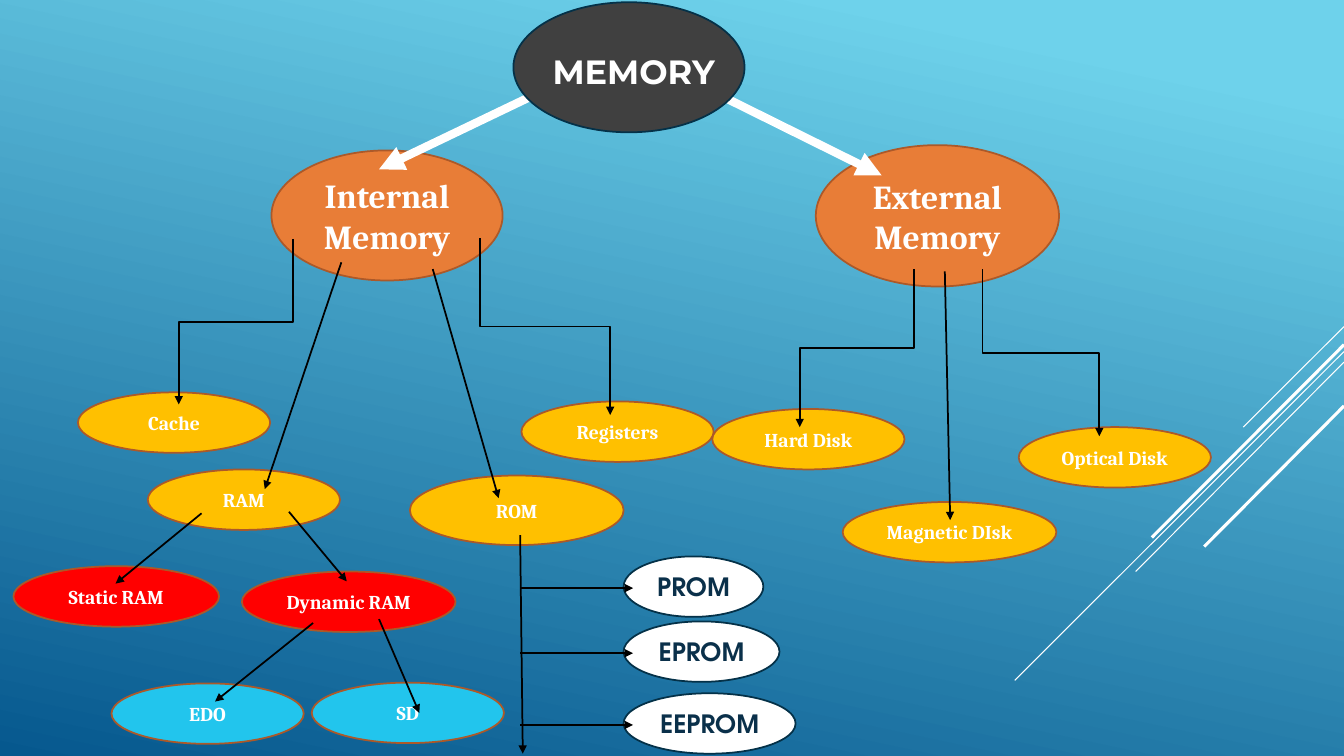
import pptx
import pptx.util
import pptx.dml.color
import pptx.enum.shapes
import pptx.enum.text
import pptx.oxml
import pptx.oxml.ns

RGBColor = pptx.dml.color.RGBColor
SKY = RGBColor(0x6E, 0xD2, 0xEB)
DEEP = RGBColor(0x06, 0x58, 0x8E)
WHITE = RGBColor(0xFF, 0xFF, 0xFF)
BLACK = RGBColor(0x00, 0x00, 0x00)
GREY = RGBColor(0x40, 0x40, 0x40)
ORANGE = RGBColor(0xE8, 0x7D, 0x37)
RUST = RGBColor(0xAC, 0x59, 0x29)
GOLD = RGBColor(0xFF, 0xC0, 0x00)
RED = RGBColor(0xFF, 0x00, 0x00)
CYAN = RGBColor(0x22, 0xC5, 0xED)
NAVY = RGBColor(0x04, 0x31, 0x48)
INK = RGBColor(0x0A, 0x30, 0x4A)

SERIF = "Cambria"
HEAD = "Montserrat"
SANS = "TeX Gyre Adventor"


def write(frame, text, font=SERIF, size=14, color=WHITE,
          align=pptx.enum.text.PP_ALIGN.CENTER):
    """Fill a text frame, one paragraph per line of text."""
    frame.word_wrap = True
    frame.auto_size = pptx.enum.text.MSO_AUTO_SIZE.NONE
    frame.vertical_anchor = pptx.enum.text.MSO_ANCHOR.MIDDLE
    frame.margin_left = frame.margin_right = 0
    frame.margin_top = frame.margin_bottom = 0
    frame.text = text
    for para in frame.paragraphs:
        para.alignment = align
        for run in para.runs:
            run.font.name = font
            run.font.size = pptx.util.Pt(size)
            run.font.bold = True
            run.font.color.rgb = color


class Chart:
    """Draws on one slide; lengths are percent of its width and height."""

    def __init__(self, deck):
        self.deck = deck
        self.slide = deck.slides.add_slide(deck.slide_layouts[5])
        self.shapes = self.slide.shapes

    def place(self, x, y):
        return (round(self.deck.slide_width * x / 100),
                round(self.deck.slide_height * y / 100))

    def back(self, start, end, angle):
        fill = self.slide.background.fill
        fill.gradient()
        fill.gradient_angle = angle
        for stop, color, spot in zip(fill.gradient_stops, (start, end), (0.1, 1)):
            stop.color.rgb = color
            stop.position = spot

    def node(self, text, x, y, w=14.3, h=8, fill=GOLD, edge=RUST, **style):
        oval = self.shapes.add_shape(pptx.enum.shapes.MSO_SHAPE.OVAL,
                                     *self.place(x, y), *self.place(w, h))
        oval.shadow.inherit = False
        oval.fill.solid()
        oval.fill.fore_color.rgb = fill
        oval.line.color.rgb = edge
        oval.line.width = pptx.util.Pt(1.25)
        if text:
            write(oval.text_frame, text, **style)
        return oval

    def title(self, text, x, y, w, h, above, **style):
        title = self.shapes.title
        title.left, title.top = self.place(x, y)
        title.width, title.height = self.place(w, h)
        write(title.text_frame, text, **style)
        above.element.addnext(title.element)

    def link(self, start, end, color=BLACK, width=1.25, arrow=True, bent=False):
        types = pptx.enum.shapes.MSO_CONNECTOR
        kind = types.ELBOW if bent else types.STRAIGHT
        wire = self.shapes.add_connector(kind, *self.place(*start), *self.place(*end))
        if bent:
            self.turn(wire, right=end[0] > start[0])
        wire.line.color.rgb = color
        wire.line.width = pptx.util.Pt(width)
        if arrow:
            tip = pptx.oxml.parse_xml(
                "<a:tailEnd %s type='triangle'/>" % pptx.oxml.ns.nsdecls("a"))
            wire.line._get_or_add_ln().append(tip)
        wire.element.spPr.append(pptx.oxml.parse_xml(
            "<a:effectLst %s/>" % pptx.oxml.ns.nsdecls("a")))

    def turn(self, wire, right):
        """Rotate an elbow about its centre so that it leaves downwards."""
        shift = (wire.width - wire.height) // 2
        wire.left, wire.top = wire.left + shift, wire.top - shift
        wire.width, wire.height = wire.height, wire.width
        form = wire.element.spPr.xfrm
        form.set("rot", "16200000" if right else "5400000")
        form.set("flipH", "1" if right else "0")


def main():
    deck = pptx.Presentation()
    deck.slide_width = pptx.util.Inches(13.33)
    deck.slide_height = pptx.util.Inches(7.5)
    chart = Chart(deck)

    # Backdrop with slanted lines at the right edge
    chart.back(SKY, DEEP, 258)
    for top, x, y, width in ((43.2, 92.5, 56.5, 0.75), (46.5, 75.5, 90, 0.75),
                             (47.9, 84.5, 75.6, 0.75), (45.6, 85.7, 71.1, 2.25),
                             (53.7, 89.6, 72.3, 2.25)):
        chart.link((100, top), (x, y), WHITE, width, arrow=False)

    # Root and its two main groups
    chart.node("External\nMemory", 60.7, 19.2, 18.1, 18.7, ORANGE, size=24)
    chart.node("Internal\nMemory", 20.2, 19.9, 17.2, 17.2, ORANGE, size=24)
    chart.link((53.8, 12.8), (65.6, 23.2), WHITE, 6)
    chart.link((40.4, 12), (28.2, 22.4), WHITE, 6)
    root = chart.node("", 38.2, 0.3, 17.2, 17.2, GREY, NAVY)
    chart.title("MEMORY", 39.5, 5.4, 15.3, 8, root, font=HEAD, size=24)

    # Kinds of memory
    for text, x, y, more in (
            ("Cache", 5.8, 51.9, {}),
            ("RAM", 11, 62.1, {}),
            ("ROM", 30.5, 62.9, {"w": 15.9, "h": 9.2}),
            ("Registers", 38.8, 53.1, {}),
            ("Hard Disk", 53, 54.1, {}),
            ("Optical Disk", 75.8, 56.5, {}),
            ("Magnetic DIsk", 62.7, 66.4, {"w": 15.9}),
            ("Static RAM", 1, 74.9, {"w": 15.3, "fill": RED}),
            ("Dynamic RAM", 18, 75.6, {"w": 15.9, "fill": RED}),
            ("SD", 23.2, 90.3, {"fill": CYAN}),
            ("EDO", 8.3, 90.4, {"fill": CYAN})):
        chart.node(text, x, y, **more)

    # Elbow arrows
    for start, end in (((21.8, 31.6), (13.3, 53.5)), ((35.7, 31.5), (45.4, 54.9)),
                       ((68, 35.6), (59.5, 56.5)), ((73.1, 35.6), (81.8, 57.7))):
        chart.link(start, end, bent=True)

    # Straight arrows
    for start, end in (((25.4, 34.7), (19.7, 64.7)), ((32.2, 35.6), (37.1, 65.9)),
                       ((70.3, 35.9), (70.7, 68.8)), ((23.3, 82.4), (16, 92.8)),
                       ((28.2, 81.9), (31.2, 94.3)), ((15, 67.9), (8.6, 77.2)),
                       ((21.5, 67.7), (25.8, 76.9)), ((38.7, 70.8), (38.9, 99.7))):
        chart.link(start, end)

    # ROM types, each reached from the stem
    for text, y, w in (("PROM", 73.6, 10.4), ("EPROM", 82.2, 11.6),
                       ("EEPROM", 91.7, 12.8)):
        chart.node(text, 46.4, y, w, fill=WHITE, edge=NAVY,
                   font=SANS, size=18, color=INK)
        chart.link((38.7, y + 4.2), (47.1, y + 4.2))

    deck.save("out.pptx")


if __name__ == "__main__":
    main()
